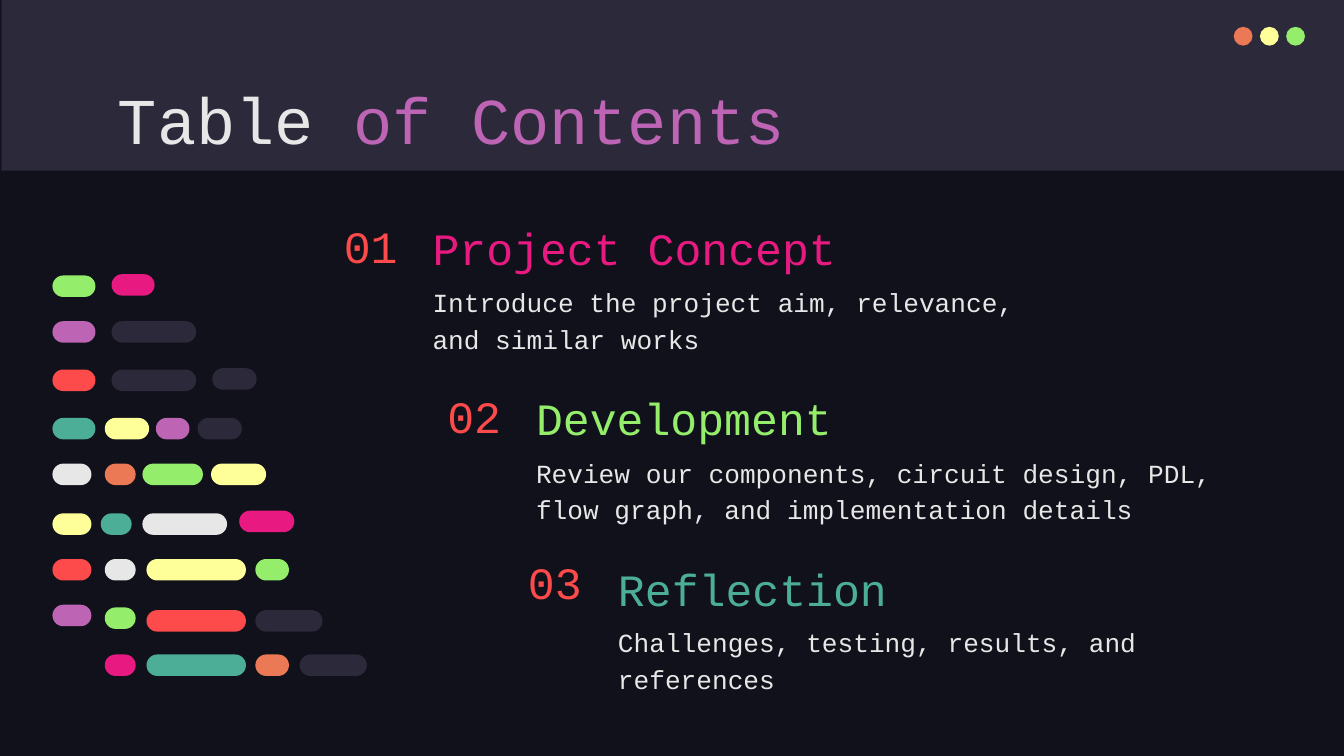
from pptx import Presentation
from pptx.dml.color import RGBColor
from pptx.enum.shapes import MSO_SHAPE
from pptx.enum.text import MSO_ANCHOR
from pptx.util import Inches, Pt

FONT = "Courier New"
COLORS = {
    "night": "10111A", "slate": "2C293A", "white": "E7E7E7",
    "purple": "BD64B5", "red": "FD4A4A", "pink": "E81A81",
    "green": "94EE6B", "teal": "4CAE97", "orange": "EC7955",
    "yellow": "FFFF99",
}

HEADING = [("Table ", "white"), ("of Contents", "purple")]
WINDOW_DOTS = ["orange", "yellow", "green"]

SECTIONS = [
    {"number": "01", "title": "Project Concept", "color": "pink",
     "summary": "Introduce the project aim, relevance, and similar works",
     "left": 3.12, "summary_width": 4.6,
     "number_left": 2.46, "number_height": 0.43, "summary_top": 2},
    {"number": "02", "title": "Development", "color": "green",
     "summary": "Review our components, circuit design, PDL, flow graph, "
                "and implementation details",
     "left": 3.89, "summary_width": 5.6,
     "number_left": 3.23, "number_height": 0.43, "summary_top": 3.27},
    {"number": "03", "title": "Reflection", "color": "teal",
     "summary": "Challenges, testing, results, and references",
     "left": 4.5, "summary_width": 4.6,
     "number_left": 3.83, "number_height": 0.36, "summary_top": 4.53},
]

CODE_LINES = [
    (2.05, [(0.39, 0.32, "green")]),
    (2.04, [(0.83, 0.32, "pink")]),
    (2.39, [(0.39, 0.32, "purple"), (0.83, 0.63, "slate")]),
    (2.75, [(0.39, 0.32, "red"), (0.83, 0.63, "slate")]),
    (2.74, [(1.58, 0.33, "slate")]),
    (3.11, [(0.39, 0.32, "teal"), (0.78, 0.33, "yellow"),
            (1.16, 0.25, "purple"), (1.47, 0.33, "slate")]),
    (3.45, [(0.39, 0.29, "white"), (0.78, 0.23, "orange"),
            (1.06, 0.45, "green"), (1.57, 0.41, "yellow")]),
    (3.82, [(0.39, 0.29, "yellow"), (0.75, 0.23, "teal"), (1.06, 0.63, "white")]),
    (3.8, [(1.78, 0.41, "pink")]),
    (4.16, [(0.39, 0.29, "red"), (0.78, 0.23, "white"),
            (1.09, 0.74, "yellow"), (1.9, 0.25, "green")]),
    (4.5, [(0.39, 0.29, "purple")]),
    (4.52, [(0.78, 0.23, "green")]),
    (4.54, [(1.09, 0.74, "red"), (1.9, 0.5, "slate")]),
    (4.87, [(0.78, 0.23, "pink"), (1.09, 0.74, "teal"),
            (1.9, 0.25, "orange"), (2.23, 0.5, "slate")]),
]

SECTION_TOP, SECTION_STEP = 1.61, 1.27
NUMBER_WIDTH = 0.66
DOT_LEFT, DOT_RIGHT, DOT_SIZE = 9.18, 9.57, 0.14
TOKEN_HEIGHT = 0.16

deck = Presentation()
deck.slide_width = Inches(10)
deck.slide_height = deck.slide_width * 9 // 16
slide = deck.slides.add_slide(deck.slide_layouts[6])
slide.background.fill.solid()
slide.background.fill.fore_color.rgb = RGBColor.from_string(COLORS["night"])


def add_block(kind, left, top, width, height, color):
    block = slide.shapes.add_shape(
        kind, Inches(left), Inches(top), Inches(width), Inches(height))
    block.shadow.inherit = False
    block.fill.solid()
    block.fill.fore_color.rgb = RGBColor.from_string(COLORS[color])
    block.line.fill.background()
    return block


def add_text(runs, size, left, top, width, height,
             anchor=MSO_ANCHOR.TOP, spacing=None):
    frame = slide.shapes.add_textbox(
        Inches(left), Inches(top), Inches(width), Inches(height)).text_frame
    frame.word_wrap = True
    frame.vertical_anchor = anchor
    frame.margin_left = frame.margin_right = Inches(0.1)
    frame.margin_top = frame.margin_bottom = Inches(0.1)
    paragraph = frame.paragraphs[0]
    paragraph.line_spacing = spacing
    for words, color in runs:
        run = paragraph.add_run()
        run.text = words
        run.font.name = FONT
        run.font.size = Pt(size)
        run.font.color.rgb = RGBColor.from_string(COLORS[color])


add_block(MSO_SHAPE.RECTANGLE, 0.01, 0, 10, 1.27, "slate")
dot_step = (DOT_RIGHT - DOT_LEFT) / (len(WINDOW_DOTS) - 1)
for index, color in enumerate(WINDOW_DOTS):
    add_block(MSO_SHAPE.OVAL, DOT_LEFT + index * dot_step, 0.2,
              DOT_SIZE, DOT_SIZE, color)

add_text(HEADING, 35, 0.78, 0.49, 8.43, 0.63)

for index, section in enumerate(SECTIONS):
    left, top = section["left"], SECTION_TOP + index * SECTION_STEP
    add_text([(section["number"], "red")], 24, section["number_left"], top,
             NUMBER_WIDTH, section["number_height"], MSO_ANCHOR.MIDDLE)
    add_text([(section["title"], section["color"])], 24, left, top,
             4.6, 0.53, MSO_ANCHOR.BOTTOM, 1.15)
    add_text([(section["summary"], "white")], 14, left, section["summary_top"],
             section["summary_width"], 0.63, spacing=1.15)

for top, tokens in CODE_LINES:
    for left, width, color in tokens:
        token = add_block(MSO_SHAPE.ROUNDED_RECTANGLE, left, top,
                          width, TOKEN_HEIGHT, color)
        token.adjustments[0] = 0.5

deck.save("out.pptx")
